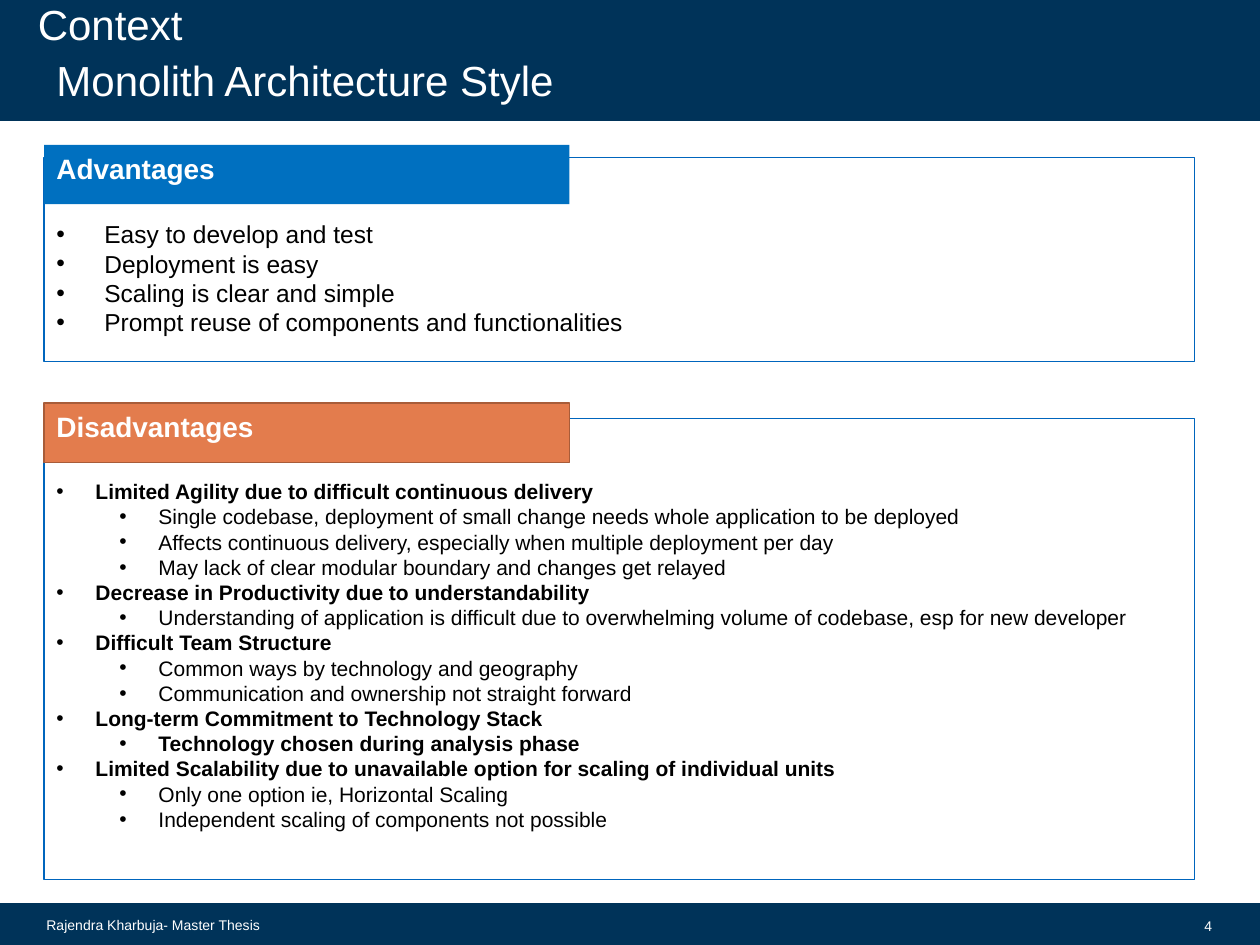
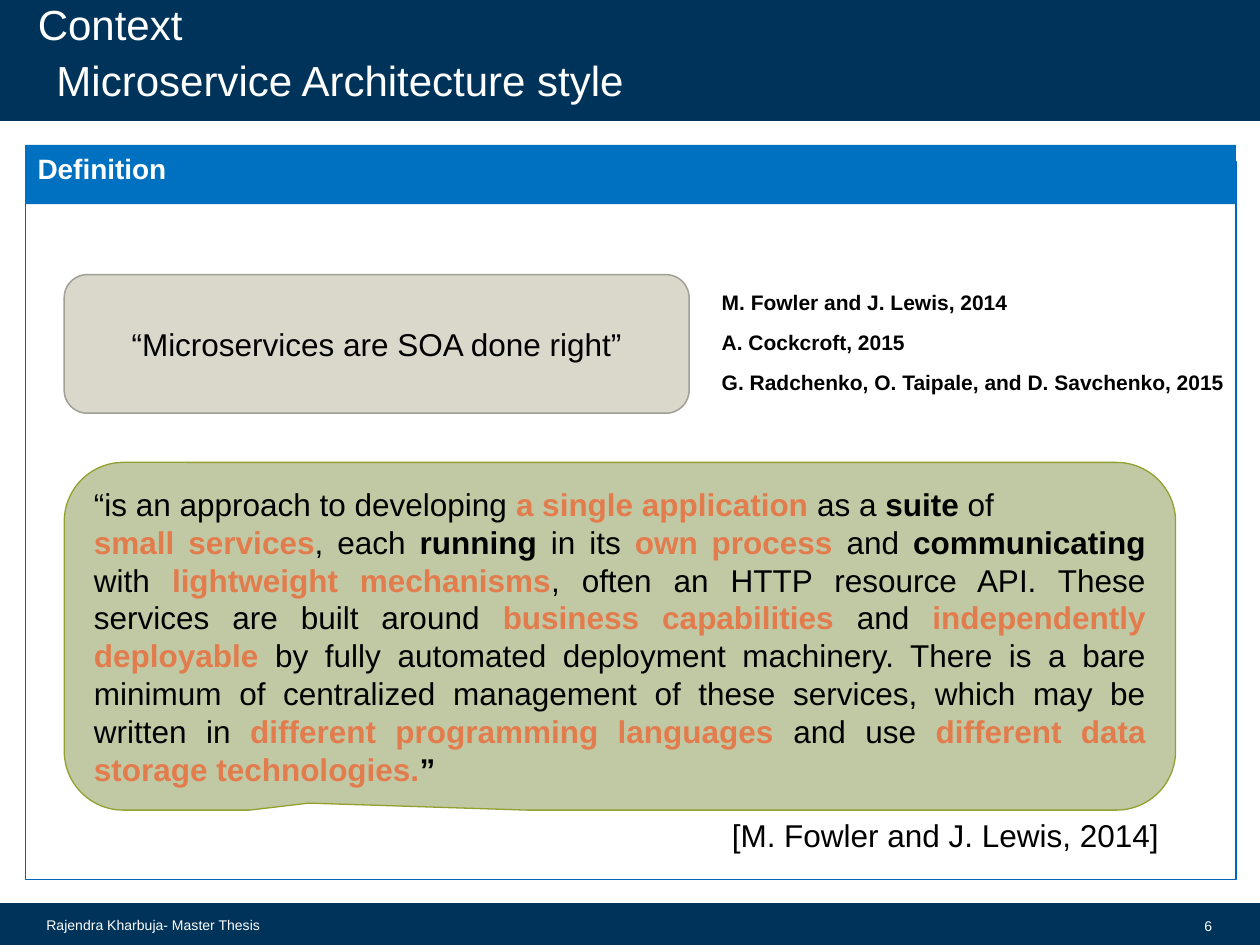
from collections import namedtuple
from dataclasses import dataclass

from lxml import etree
from pptx import Presentation
from pptx.dml.color import RGBColor
from pptx.enum import shapes as kinds, text as txt
from pptx.oxml import ns
from pptx.util import Inches, Pt

Box = namedtuple("Box", "left top width height")
SHAPE = kinds.MSO_SHAPE
ALIGN = txt.PP_ALIGN
ANCHOR = txt.MSO_ANCHOR


@dataclass(frozen=True)
class Theme:
    font: str = "Arial"
    navy: str = "003359"
    frame: str = "0065BD"
    blue: str = "0070C0"
    orange: str = "E37C4D"
    rust: str = "A85C39"
    sage: str = "C1C8A4"
    olive: str = "91A02F"
    sand: str = "DAD7CB"
    stone: str = "A19F96"
    white: str = "FFFFFF"
    black: str = "000000"
    title: int = 24
    quote: int = 18
    heading: int = 16
    list: int = 14
    detail: int = 12
    footer: int = 8


THEME = Theme()
SLIDE = Box(0, 0, 10, 7.5)
TITLE_BAND = Box(0, 0, 10, 0.95)
FOOTER_BAND = Box(0, 7.18, 10, 0.32)
HEADING_HEIGHT = 0.47

ADVANTAGES = [
    "Easy to develop and test",
    "Deployment is easy",
    "Scaling is clear and simple",
    "Prompt reuse of components and functionalities",
]
DISADVANTAGES = {
    "Limited Agility due to difficult continuous delivery": [
        "Single codebase, deployment of small change needs whole application to be deployed",
        "Affects continuous delivery, especially when multiple deployment per day",
        "May lack of clear modular boundary and changes get relayed",
    ],
    "Decrease in Productivity due to understandability": [
        "Understanding of application is difficult due to overwhelming volume of codebase, "
        "esp for new developer",
    ],
    "Difficult Team Structure": [
        "Common ways by technology and geography",
        "Communication and ownership not straight forward",
    ],
    "Long-term Commitment to Technology Stack": ["Technology chosen during analysis phase"],
    "Limited Scalability due to unavailable option for scaling of individual units": [
        "Only one option ie, Horizontal Scaling",
        "Independent scaling of components not possible",
    ],
}
BOLD_DETAILS = {"Technology chosen during analysis phase"}

# In the definition, *...* is bold and _..._ is bold in the accent colour.
DEFINITION = [
    "“is an approach to developing _a single application _as a *suite* of ",
    "_small services_, each *running* in its _own process _and *communicating* with "
    "_lightweight mechanisms_, often an HTTP resource API. These services are built around "
    "_business capabilities _and _independently deployable _by fully automated deployment "
    "machinery. There is a bare minimum of centralized management of these services, which "
    "may be written in _different programming languages _and use "
    "_different data storage technologies._*”*",
]
SOURCES = [
    "M. Fowler and J. Lewis, 2014",
    "A. Cockcroft, 2015",
    "G. Radchenko, O. Taipale, and D. Savchenko, 2015",
]


def place(box):
    return [Inches(length) for length in box]


def style(run, size, color=THEME.black, bold=False):
    run.font.name = THEME.font
    run.font.size = Pt(size)
    run.font.bold = bold
    run.font.color.rgb = RGBColor.from_string(color)


def write(frame, lines, size, color=THEME.black, bold=False, align=ALIGN.LEFT, anchor=ANCHOR.TOP):
    frame.text = "\n".join(lines)
    frame.word_wrap = True
    frame.auto_size = txt.MSO_AUTO_SIZE.NONE
    frame.vertical_anchor = anchor
    for paragraph in frame.paragraphs:
        paragraph.alignment = align
        for run in paragraph.runs:
            style(run, size, color, bold)


def add_text(shapes, box, lines, size, **options):
    frame = shapes.add_textbox(*place(box)).text_frame
    write(frame, lines, size, **options)
    return frame


def add_block(shapes, kind, box, fill=None, line=None, weight=0.75):
    block = shapes.add_shape(kind, *place(box))
    block.shadow.inherit = False
    if fill:
        block.fill.solid()
        block.fill.fore_color.rgb = RGBColor.from_string(fill)
    else:
        block.fill.background()
    if line:
        block.line.color.rgb = RGBColor.from_string(line)
        block.line.width = Pt(weight)
    else:
        block.line.fill.background()
    return block


def bullet(paragraph, left, hanging):
    props = paragraph._p.get_or_add_pPr()
    props.set("marL", str(Inches(left)))
    props.set("indent", str(-Inches(hanging)))
    etree.SubElement(props, ns.qn("a:buFont"), typeface=THEME.font)
    etree.SubElement(props, ns.qn("a:buChar"), char="•")


def add_marked_text(paragraph, marked):
    looks = {"": (THEME.black, False), "*": (THEME.black, True), "_": (THEME.orange, True)}
    mark, piece = "", ""
    for letter in marked + "\n":
        if letter not in "*_\n":
            piece += letter
            continue
        if piece:
            run = paragraph.add_run()
            run.text = piece
            style(run, THEME.quote, *looks[mark])
        mark, piece = "" if mark else letter, ""


def add_bands_to_master(prs, slide):
    """Draw the two bands on a slide, then move them behind everything on the master."""
    tree = prs.slide_master.shapes.element
    for number, box in enumerate((FOOTER_BAND, TITLE_BAND)):
        band = add_block(slide.shapes, SHAPE.RECTANGLE, box, THEME.navy, THEME.navy, 1.35).element
        band.nvSpPr.cNvPr.set("id", str(100 + number))
        tree.insert(2 + number, band)


def add_header(slide, subtitle):
    title = slide.shapes.title
    title.left, title.top, title.width, title.height = place(Box(0.2, 0, 8.24, 0.39))
    below = slide.shapes.add_textbox(*place(Box(0.35, 0.44, 8.24, 0.39)))
    for holder, line in ((title, "Context"), (below, subtitle)):
        frame = holder.text_frame
        write(frame, [line], THEME.title, THEME.white, anchor=ANCHOR.BOTTOM)
        frame.margin_left = frame.margin_right = Inches(0.1)
        frame.margin_top = frame.margin_bottom = 0


def add_footer(slide, number):
    band = FOOTER_BAND
    look = dict(size=THEME.footer, color=THEME.white, anchor=ANCHOR.MIDDLE)
    add_text(slide.shapes, Box(0.27, band.top, 2.13, band.height),
             ["Rajendra Kharbuja- Master Thesis"], **look)
    add_text(slide.shapes, Box(9.45, band.top + 0.01, 0.27, band.height),
             [str(number)], align=ALIGN.RIGHT, **look)


def add_panel(slide, box, heading, heading_width, drop, fill=THEME.blue, line=None):
    """Outlined frame starting `drop` below the top of its heading; returns the group's shapes."""
    shapes = slide.shapes.add_group_shape().shapes
    add_block(shapes, SHAPE.RECTANGLE,
              Box(box.left, box.top + drop, box.width, box.height - drop), line=THEME.frame)
    tab = add_block(shapes, SHAPE.RECTANGLE,
                    Box(box.left, box.top, heading_width, HEADING_HEIGHT), fill, line, 0.85)
    write(tab.text_frame, [heading], THEME.heading, THEME.white, bold=True)
    tab.text_frame.paragraphs[0].space_before = Pt(3)
    return shapes


def add_advantages(slide, box):
    shapes = add_panel(slide, box, "Advantages", 4.17, 0.1)
    frame = add_text(shapes, Box(box.left, box.top + 0.54, 6.67, 1.35), ADVANTAGES, THEME.list)
    for paragraph in frame.paragraphs:
        bullet(paragraph, 0.38, 0.38)


def add_disadvantages(slide, box):
    shapes = add_panel(slide, box, "Disadvantages", 4.17, 0.12, THEME.orange, THEME.rust)
    lines = [line for point, details in DISADVANTAGES.items() for line in (point, *details)]
    frame = add_text(shapes, Box(box.left, box.top + 0.55, 8.8, 3.23), lines, THEME.detail)
    for paragraph in frame.paragraphs:
        is_point = paragraph.text in DISADVANTAGES
        paragraph.level = 0 if is_point else 1
        paragraph.runs[0].font.bold = is_point or paragraph.text in BOLD_DETAILS
        bullet(paragraph, 0.31 if is_point else 0.81, 0.31)


def add_slogan(slide, box):
    shapes = slide.shapes.add_group_shape().shapes
    slogan = add_block(shapes, SHAPE.ROUNDED_RECTANGLE, box, THEME.sand, THEME.stone, 0.85)
    write(slogan.text_frame, ["“Microservices are SOA done right”"], THEME.quote,
          align=ALIGN.CENTER, anchor=ANCHOR.MIDDLE)
    for row, source in enumerate(SOURCES):
        add_text(shapes, Box(box.left + 5.12, box.top + 0.07 + row * 0.315, 5.2, 0.3),
                 [source], THEME.detail, bold=True)


def add_definition(slide, box):
    shapes = slide.shapes.add_group_shape().shapes
    callout = add_block(shapes, SHAPE.ROUNDED_RECTANGULAR_CALLOUT, box, THEME.sage, THEME.olive)
    for index, value in enumerate((-0.28, 0.48, 0.17)):
        callout.adjustments[index] = value
    frame = callout.text_frame
    write(frame, [""] * len(DEFINITION), THEME.quote, align=ALIGN.JUSTIFY, anchor=ANCHOR.MIDDLE)
    for paragraph, marked in zip(frame.paragraphs, DEFINITION):
        add_marked_text(paragraph, marked)
    add_text(shapes, Box(box.left + 5.2, box.top + box.height, 3.63, 0.4),
             ["[M. Fowler and J. Lewis, 2014]"], THEME.quote)


def fill_monolith(slide):
    add_advantages(slide, Box(0.35, 1.15, 9.13, 1.72))
    add_disadvantages(slide, Box(0.35, 3.2, 9.13, 3.78))


def fill_microservice(slide):
    add_panel(slide, Box(0.2, 1.15, 9.61, 5.83), "Definition", 9.61, 0.13)
    add_definition(slide, Box(0.51, 3.67, 8.82, 2.76))
    add_slogan(slide, Box(0.51, 2.18, 4.96, 1.1))


def main():
    prs = Presentation()
    prs.slide_width, prs.slide_height = Inches(SLIDE.width), Inches(SLIDE.height)
    title_only = prs.slide_layouts[5]
    pages = [
        ("Monolith Architecture Style", 4, fill_monolith),
        ("Microservice Architecture style", 6, fill_microservice),
    ]
    for subtitle, number, fill_content in pages:
        slide = prs.slides.add_slide(title_only)
        add_header(slide, subtitle)
        add_footer(slide, number)
        fill_content(slide)
    add_bands_to_master(prs, prs.slides[0])
    prs.save("out.pptx")


if __name__ == "__main__":
    main()
